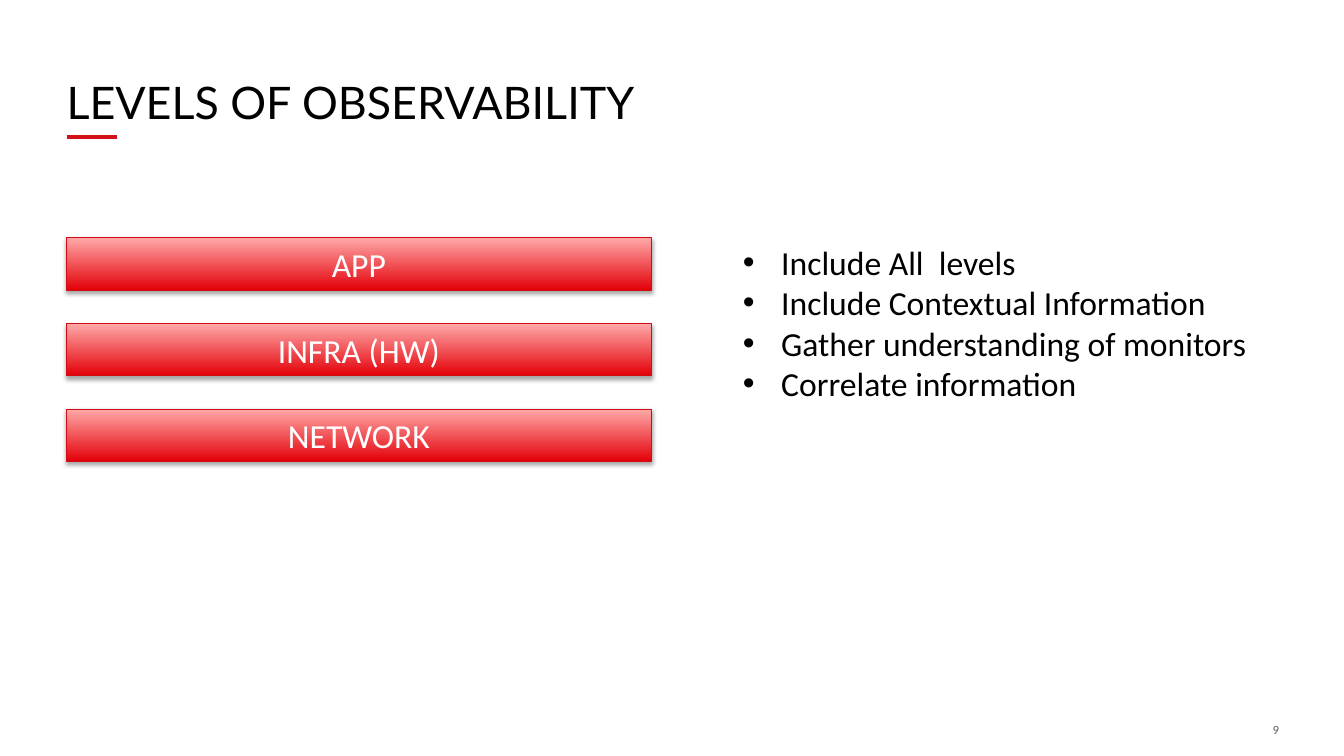
from lxml.etree import SubElement as Sub
from pptx import Presentation
from pptx.dml.color import RGBColor as RGB
from pptx.enum.shapes import MSO_CONNECTOR as Conn, MSO_SHAPE as Form
from pptx.enum.text import MSO_ANCHOR as Anchor, PP_ALIGN as Align
from pptx.oxml.ns import qn
from pptx.util import Inches as In, Pt

WIDE, HIGH = 13.33, 7.5
LEFT = 0.66
HUES = {"ink": "000000", "white": "FFFFFF", "gray": "7F7F7F", "rule": "D21118",
        "edge": "D20C13", "deep": "E30008", "pale": "FFA8A8"}
LEVELS = ["APP", "INFRA (HW)", "NETWORK"]
POINTS = ["Include All  levels", "Include Contextual Information",
          "Gather understanding of monitors", "Correlate information"]


def hue(name):
    return RGB.from_string(HUES[name])


def write(para, text, size, face, color, bold=False):
    run = para.add_run()
    run.text = text
    font = run.font
    font.size, font.name, font.bold = Pt(size), face, bold
    font.color.rgb = hue(color)


def text_box(slide, box, pads=(0.1, 0.05)):
    frame = slide.shapes.add_textbox(*map(In, box)).text_frame
    frame.word_wrap = True
    frame.margin_left = frame.margin_right = In(pads[0])
    frame.margin_top = frame.margin_bottom = In(pads[1])
    return frame


def cast(shape):
    """Give the shape a soft shadow straight below it."""
    shape.shadow.inherit = False
    glow = shape._element.spPr.find(qn("a:effectLst"))
    drop = Sub(glow, qn("a:outerShdw"), blurRad=str(Pt(3.1)), dist=str(Pt(1.8)),
               dir="5400000", rotWithShape="0")
    tint = Sub(drop, qn("a:srgbClr"), val=HUES["ink"])
    Sub(tint, qn("a:alpha"), val="35000")


def header(slide, box):
    # Title
    frame = text_box(slide, box, (0, 0.05))
    frame.vertical_anchor = Anchor.BOTTOM
    para = frame.paragraphs[0]
    para.line_spacing = 0.9
    write(para, "LEVELS OF OBSERVABILITY", 32, "Lato", "ink")
    # Short rule under the title
    left, top, _, high = box
    base = In(top + high + 0.03)
    rule = slide.shapes.add_connector(Conn.STRAIGHT, In(left), base, In(left + 0.5), base)
    rule.line.color.rgb = hue("rule")
    rule.line.width = Pt(2.75)
    Sub(rule._element.spPr, qn("a:effectLst"))


def stack(slide, box, bar=0.52):
    left, top, wide, high = box
    step = (high - bar) / (len(LEVELS) - 1)
    for row, label in enumerate(LEVELS):
        spot = (left, top + row * step, wide, bar)
        shape = slide.shapes.add_shape(Form.RECTANGLE, *map(In, spot))
        # Pale at the top, deep red at the bottom
        shape.fill.gradient()
        shape.fill.gradient_angle = 90
        for stop, name, place in zip(shape.fill.gradient_stops, ("deep", "pale"), (0, 1)):
            stop.color.rgb = hue(name)
            stop.position = place
        shape.line.color.rgb = hue("edge")
        shape.line.width = Pt(0.75)
        cast(shape)
        frame = shape.text_frame
        frame.vertical_anchor = Anchor.MIDDLE
        para = frame.paragraphs[0]
        para.alignment = Align.CENTER
        write(para, label, 24, "Calibri", "white")


def bullets(slide, box):
    frame = text_box(slide, box)
    for row, text in enumerate(POINTS):
        para = frame.add_paragraph() if row else frame.paragraphs[0]
        props = para._p.get_or_add_pPr()
        props.set("marL", str(In(0.38)))
        props.set("indent", str(-In(0.38)))
        Sub(props, qn("a:buFont"), typeface="Arial")
        Sub(props, qn("a:buChar"), char="•")
        write(para, text, 24, "Calibri", "ink")


def footer(slide, box):
    para = text_box(slide, box, (0, 0)).paragraphs[0]
    para.alignment = Align.RIGHT
    write(para, "9", 8, "Lato", "gray", True)


def main():
    deck = Presentation()
    deck.slide_width, deck.slide_height = In(WIDE), In(HIGH)
    slide = deck.slides.add_slide(deck.slide_layouts[6])
    footer(slide, (12.24, 7.18, 0.45, 0.14))
    header(slide, (LEFT, 0.74, WIDE - 2 * LEFT, 0.59))
    stack(slide, (LEFT, 2.36, 5.8, 2.22))
    bullets(slide, (7.27, 2.35, 5.68, 1.72))
    deck.save("out.pptx")


if __name__ == "__main__":
    main()
